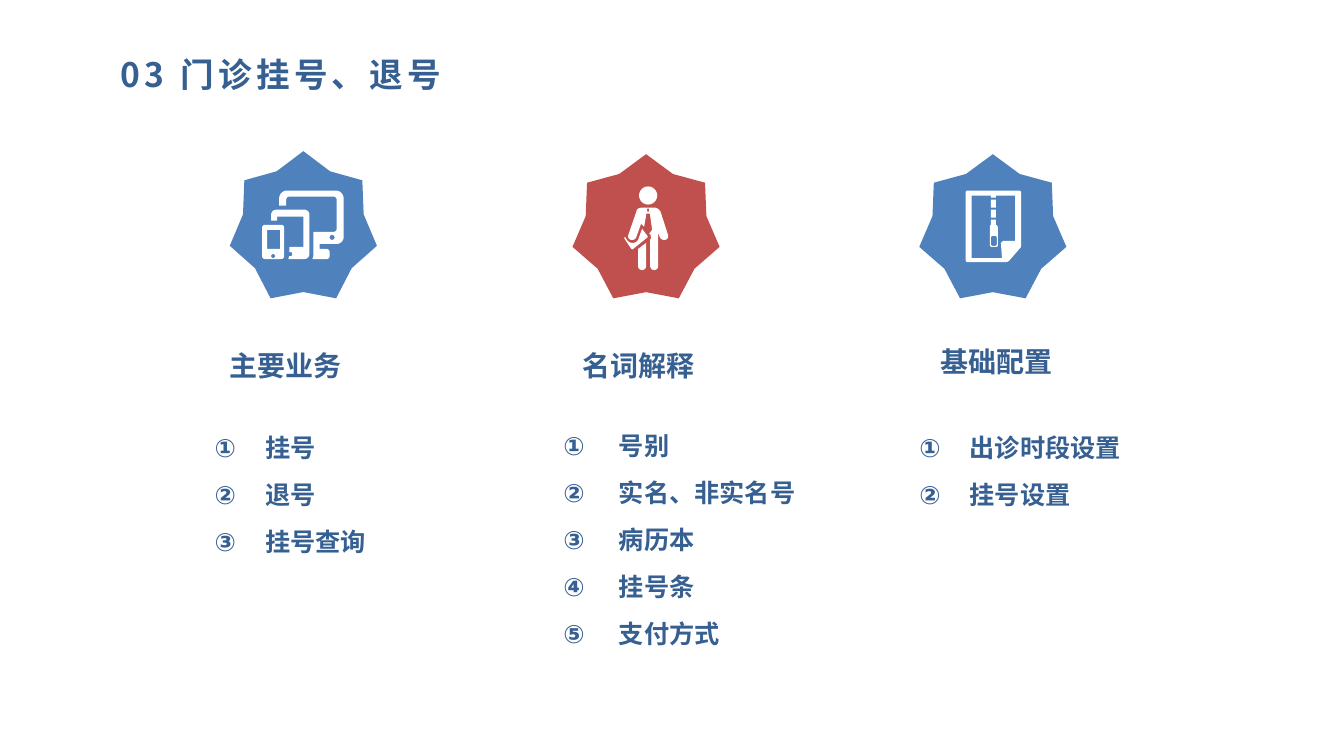
from dataclasses import dataclass
from math import dist, sqrt
from typing import Any, NamedTuple

from lxml.etree import SubElement
from pptx import Presentation
from pptx.dml.color import RGBColor
from pptx.enum.shapes import MSO_SHAPE
from pptx.enum.text import MSO_ANCHOR, MSO_AUTO_SIZE, PP_ALIGN
from pptx.oxml.ns import qn
from pptx.util import Emu, Inches, Pt

WIDTH, HEIGHT = Inches(40 / 3), Inches(7.5)
COLUMN, ROW = WIDTH / 40, HEIGHT / 30
ICON_UNIT = ROW / 25
ICON_DETAIL = 100
CURVE_STEPS = 6
HEADING_FONT, LIST_FONT = "Noto Sans CJK SC", "Arial"
TEXT, BLUE, RED, WHITE = "376092", "4F81BD", "C0504D", "FFFFFF"


class Area(NamedTuple):
    left: float
    top: float
    width: float
    height: float


class Corner(NamedTuple):
    x: float
    y: float
    radius: float = 0


Contour = list[Corner]


@dataclass
class Topic:
    heading: str
    items: list[str]
    color: str
    star: Area
    icon_left: float
    icon_top: float
    icon: list[Contour]
    heading_area: Area
    list_area: Area
    indent: float


def outline(*corners: tuple) -> Contour:
    return [Corner(*corner) for corner in corners]


def rounded(left: float, top: float, right: float, bottom: float, radius: float = 0) -> Contour:
    return outline((left, top, radius), (right, top, radius),
                   (right, bottom, radius), (left, bottom, radius))


DEVICES = [
    rounded(0, 34, 22, 68, 3),
    rounded(5, 39, 18, 58),
    rounded(9, 63, 13, 67, 2),
    outline((9, 30), (9, 19, 5), (47, 19, 5), (47, 68, 5), (26, 68), (27, 65), (30, 65, 2),
            (30, 61, 2), (27, 61), (27, 56), (41, 56), (41, 26), (15, 26), (15, 30)),
    outline((17, 15), (17, 0, 8), (81, 0, 8), (81, 53, 7), (57, 53), (57, 58), (67, 58, 3),
            (67, 68, 3), (50, 68), (51, 65), (51, 41), (74, 41, 3), (74, 6, 3),
            (24, 6, 3), (24, 15)),
    rounded(67, 44, 72, 49, 2.5),
]
PERSON = [
    rounded(15, 0, 33, 18, 9),
    outline((22, 56), (22, 83, 4), (14, 83, 4), (14, 62)),
    outline((18, 42), (24, 50, 1), (8, 63, 1.5), (0, 51, 1.5), (1, 50), (5, 56, 3), (13, 56, 4)),
    outline((13.5, 21, 5), (35, 21, 5), (45, 52, 4), (37, 54, 4), (34, 46), (34, 83, 4),
            (26, 83, 4), (26, 53), (27, 51), (26, 47), (25, 47), (28, 43), (26, 29), (26, 27),
            (22, 27), (22, 29), (20, 40), (17, 37), (11, 54, 4), (3, 52, 4), (12, 26)),
    rounded(23, 22, 25, 25),
]
ARCHIVE = [
    outline((0, 0, 2), (55, 0, 2), (55, 56, 1), (42, 71, 2), (0, 71, 2)),
    outline((6, 5), (25, 5), (25, 7), (30, 7), (30, 5), (49, 5), (49, 50), (37, 50),
            (35, 52), (36, 67), (6, 67)),
    rounded(25, 9, 30, 17),
    rounded(25, 19, 30, 27),
    outline((25, 29), (30, 29), (30, 34), (32, 35, 2), (32, 56, 2), (24, 56, 2),
            (24, 35, 2), (25, 34)),
    rounded(25, 45, 31, 55, 2),
]
TITLE_AREA = Area(3, 2.12, 30.63, 2.32)
TOPICS = [
    Topic("主要业务", ["挂号", "退号", "挂号查询"], BLUE, Area(6.84, 6, 4.38, 5.84),
          7.8, 7.56, DEVICES, Area(6.54, 13.72, 7.2, 1.52), Area(6.09, 16.96, 6.15, 5.4), 0.5),
    Topic("名词解释", ["号别", "实名、非实名号", "病历本", "挂号条", "支付方式"], RED,
          Area(17.04, 6.12, 4.38, 5.72), 18.57, 7.4, PERSON,
          Area(17.04, 13.72, 6.48, 1.52), Area(16.47, 16.88, 8.61, 11.32), 0.55),
    Topic("基础配置", ["出诊时段设置", "挂号设置"], BLUE, Area(27.36, 6.12, 4.38, 5.72),
          28.74, 7.56, ARCHIVE, Area(27.69, 13.52, 5.61, 1.6), Area(27.06, 16.96, 7.35, 2.52), 0.5),
]


def color(value: str) -> RGBColor:
    return RGBColor.from_string(value)


def assign(target: Any, values: dict[str, Any]) -> None:
    for name, value in values.items():
        setattr(target, name, value)


def emu(area: Area) -> dict[str, Emu]:
    return {"left": Emu(round(area.left * COLUMN)), "top": Emu(round(area.top * ROW)),
            "width": Emu(round(area.width * COLUMN)), "height": Emu(round(area.height * ROW))}


def frame(box: Any, area: Area, values: dict[str, Any]) -> None:
    assign(box, emu(area))
    assign(box.text_frame, {
        "word_wrap": True, "auto_size": MSO_AUTO_SIZE.NONE, "vertical_anchor": MSO_ANCHOR.TOP,
        "margin_left": Inches(0.1), "margin_right": Inches(0.1),
        "margin_top": Inches(0.05), "margin_bottom": Inches(0.05)} | values)


def write(para: Any, text: str, size: float, font: str, spacing: int = 0) -> None:
    span = para.add_run()
    span.text = text
    assign(span.font, {"size": Pt(size), "bold": True, "name": font})
    span.font.color.rgb = color(TEXT)
    properties = span._r.get_or_add_rPr()
    properties.set("spc", str(spacing))
    SubElement(properties, qn("a:ea")).set("typeface", font)


def write_list(box: Any, topic: Topic) -> None:
    frame(box, topic.list_area, {})
    for index, item in enumerate(topic.items):
        para = box.text_frame.add_paragraph() if index else box.text_frame.paragraphs[0]
        properties = para._p.get_or_add_pPr()
        properties.set("marL", str(Inches(topic.indent)))
        properties.set("indent", str(-Inches(topic.indent)))
        SubElement(properties, qn("a:buAutoNum")).set("type", "circleNumDbPlain")
        assign(para, {"alignment": PP_ALIGN.JUSTIFY, "space_after": Pt(6),
                      "space_before": Pt(6 if index else 0)})
        write(para, item, 18, LIST_FONT)


def toward(start: Corner, end: Corner, length: float) -> tuple[float, float]:
    share = min(length / dist(start[:2], end[:2]), 0.5)
    return start.x + (end.x - start.x) * share, start.y + (end.y - start.y) * share


def trace(contour: Contour) -> list[tuple[float, float]]:
    points = []
    for index, corner in enumerate(contour):
        if not corner.radius:
            points.append(corner[:2])
            continue
        entry = toward(corner, contour[index - 1], corner.radius)
        leave = toward(corner, contour[(index + 1) % len(contour)], corner.radius)
        for step in range(CURVE_STEPS + 1):
            share = step / CURVE_STEPS
            weights = ((1 - share) ** 2, sqrt(2) * share * (1 - share), share ** 2)
            points.append(tuple(
                sum(weight * place for weight, place in zip(weights, places)) / sum(weights)
                for places in zip(entry, corner[:2], leave)))
    return [(x * ICON_DETAIL, y * ICON_DETAIL) for x, y in points]


def paint(shape: Any, value: str) -> None:
    shape.shadow.inherit = False
    shape.fill.solid()
    shape.fill.fore_color.rgb = color(value)
    shape.line.fill.background()


def draw_badge(page: Any, topic: Topic) -> None:
    shapes = page.shapes.add_group_shape().shapes
    star = shapes.add_shape(MSO_SHAPE.STAR_7_POINT, **emu(topic.star))
    star.adjustments[0] = 0.41
    paint(star, topic.color)
    first, *others = [trace(contour) for contour in topic.icon]
    builder = shapes.build_freeform(*first[0], scale=ICON_UNIT / ICON_DETAIL)
    builder.add_line_segments(first[1:], close=True)
    for points in others:
        builder.move_to(*points[0])
        builder.add_line_segments(points[1:], close=True)
    icon = builder.convert_to_shape(round(topic.icon_left * COLUMN), round(topic.icon_top * ROW))
    paint(icon, WHITE)


def main() -> None:
    deck = Presentation()
    assign(deck, {"slide_width": WIDTH, "slide_height": HEIGHT})
    page = deck.slides.add_slide(deck.slide_layouts.get_by_name("Comparison"))
    title, *bodies = page.placeholders
    frame(title, TITLE_AREA, {"margin_left": Inches(0.2), "margin_top": 0})
    heading = title.text_frame.paragraphs[0]
    heading.alignment = PP_ALIGN.LEFT
    write(heading, "03 门诊挂号、退号", 24, HEADING_FONT, 300)
    for topic, body in zip(TOPICS, bodies):
        draw_badge(page, topic)
        box = page.shapes.add_textbox(**emu(topic.heading_area))
        frame(box, topic.heading_area, {"vertical_anchor": MSO_ANCHOR.MIDDLE})
        write(box.text_frame.paragraphs[0], topic.heading, 20, HEADING_FONT)
        write_list(body, topic)
    for body in bodies[len(TOPICS):]:
        body.element.getparent().remove(body.element)
    deck.save("out.pptx")


if __name__ == "__main__":
    main()
